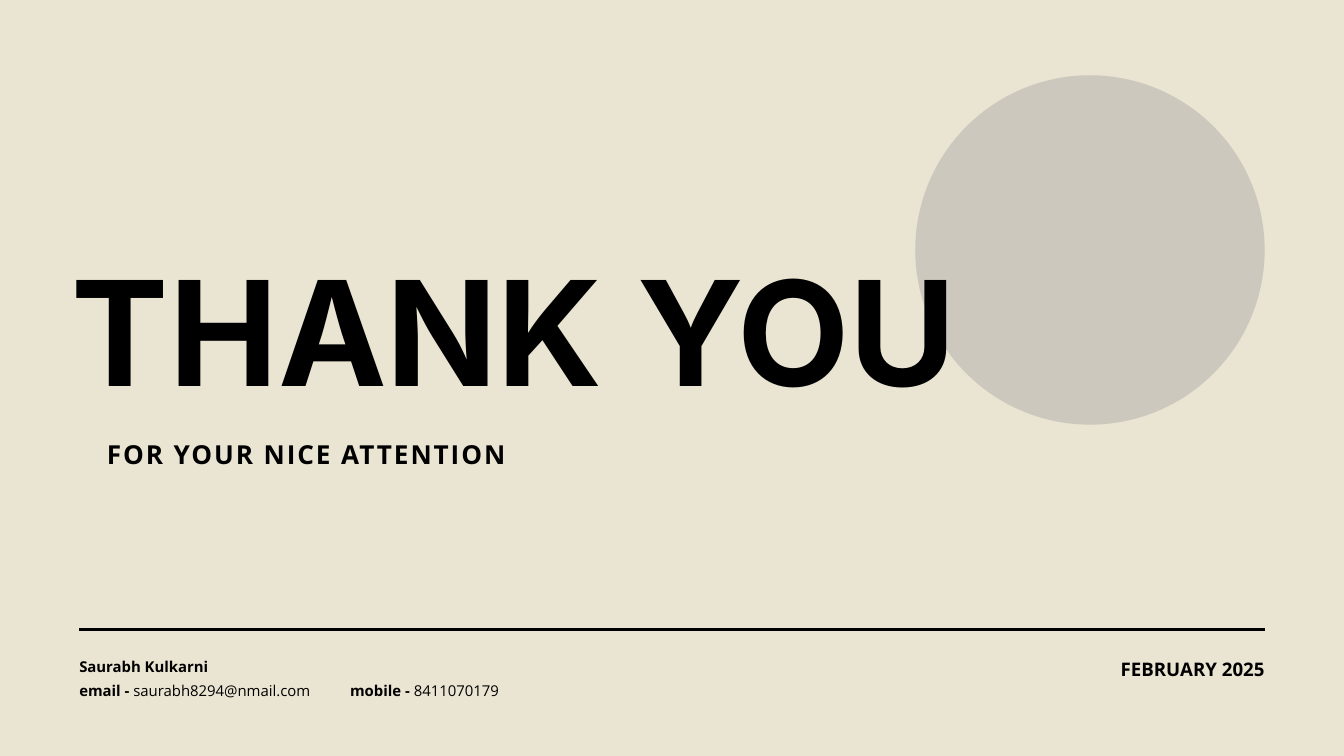
from lxml import etree
from pptx import Presentation
from pptx import util as u
from pptx.dml.color import RGBColor
from pptx.enum import shapes, text
from pptx.oxml.ns import qn

BLACK = RGBColor(0x00, 0x00, 0x00)
SAND = RGBColor(0xEA, 0xE4, 0xD2)
GREY = RGBColor(0x9D, 0x9D, 0x9F)
CIRCLE_OPACITY = 39  # percent

WIDTH, HEIGHT = 20, 11.25
MARGIN = 1.18
RIGHT = WIDTH - MARGIN
RULE_Y = 9.37
CIRCLE_SIZE, CIRCLE_TOP = 5.2, 1.12
CONTACT_TOP, CONTACT_ROW = 9.71, 0.36
CONTACT_COLUMNS = (MARGIN, 5.21)

LEFT_ALIGN, RIGHT_ALIGN = text.PP_ALIGN.LEFT, text.PP_ALIGN.RIGHT
JUSTIFY = text.PP_ALIGN.JUSTIFY

TITLE = [("THANK YOU", True)]
SUBTITLE = [("FOR YOUR NICE ATTENTION", True)]
DATE = [("FEBRUARY 2025", True)]
# column, row, width, runs as (wording, bold)
CONTACTS = [
    (0, 0, 2.2, [("Saurabh Kulkarni", True)]),
    (0, 1, 3.61, [("email -", True), (" saurabh8294@nmail.com", False)]),
    (1, 1, 3.61, [("mobile - ", True), ("8411070179", False)]),
]


def write(holder, box, runs, size, leading, align=LEFT_ALIGN,
          font="Open Sans", tracking=0):
    """Place a text holder and fill it; leading and tracking are in points."""
    holder.left, holder.top, holder.width, holder.height = map(u.Inches, box)
    frame = holder.text_frame
    frame.margin_left = frame.margin_right = 0
    frame.margin_top = frame.margin_bottom = 0
    frame.word_wrap = True
    frame.auto_size = text.MSO_AUTO_SIZE.NONE
    frame.vertical_anchor = text.MSO_ANCHOR.TOP
    paragraph = frame.paragraphs[0]
    paragraph.alignment = align
    paragraph.line_spacing = u.Pt(leading)
    paragraph.space_before = u.Pt(0)
    for wording, bold in runs:
        run = paragraph.add_run()
        run.text = wording
        run.font.name = font
        run.font.size = u.Pt(size)
        run.font.bold = bold
        run.font.color.rgb = BLACK
        if tracking:
            run.font._element.set("spc", str(round(tracking * 100)))


def add_rule(slide):
    rule = slide.shapes.add_connector(
        shapes.MSO_CONNECTOR.STRAIGHT,
        *map(u.Inches, (MARGIN, RULE_Y, RIGHT, RULE_Y)))
    rule.line.color.rgb = BLACK
    rule.line.width = u.Pt(3)
    etree.SubElement(rule._element.spPr, qn("a:effectLst"))


def add_circle(slide):
    circle = slide.shapes.add_shape(
        shapes.MSO_SHAPE.OVAL,
        *map(u.Inches, (RIGHT - CIRCLE_SIZE, CIRCLE_TOP, CIRCLE_SIZE, CIRCLE_SIZE)))
    circle.shadow.inherit = False
    circle.fill.solid()
    circle.fill.fore_color.rgb = GREY
    circle.line.fill.background()
    colour = circle._element.spPr.find(qn("a:solidFill"))[0]
    etree.SubElement(colour, qn("a:alpha"), val=str(CIRCLE_OPACITY * 1000))
    # Send behind the title and subtitle placeholders.
    slide.shapes._spTree.insert(2, circle._element)


def main():
    deck = Presentation()
    deck.slide_width, deck.slide_height = u.Inches(WIDTH), u.Inches(HEIGHT)
    slide = deck.slides.add_slide(deck.slide_layouts[0])
    slide.background.fill.solid()
    slide.background.fill.fore_color.rgb = SAND

    add_rule(slide)
    add_circle(slide)
    write(slide.shapes.title, (1.07, 3.15, 15.49, 2.92), TITLE,
          156.2, 218.7, font="Inter")
    write(slide.placeholders[1], (1.59, 6.45, 8.82, 0.53), SUBTITLE,
          28, 39.2, tracking=2.1)
    for column, row, width, runs in CONTACTS:
        box = (CONTACT_COLUMNS[column], CONTACT_TOP + row * CONTACT_ROW, width, 0.32)
        write(slide.shapes.add_textbox(0, 0, 0, 0), box, runs, 16, 24.8, JUSTIFY)
    write(slide.shapes.add_textbox(0, 0, 0, 0), (RIGHT - 3.14, 9.69, 3.14, 0.4),
          DATE, 20, 31, RIGHT_ALIGN)
    deck.save("out.pptx")


if __name__ == "__main__":
    main()
